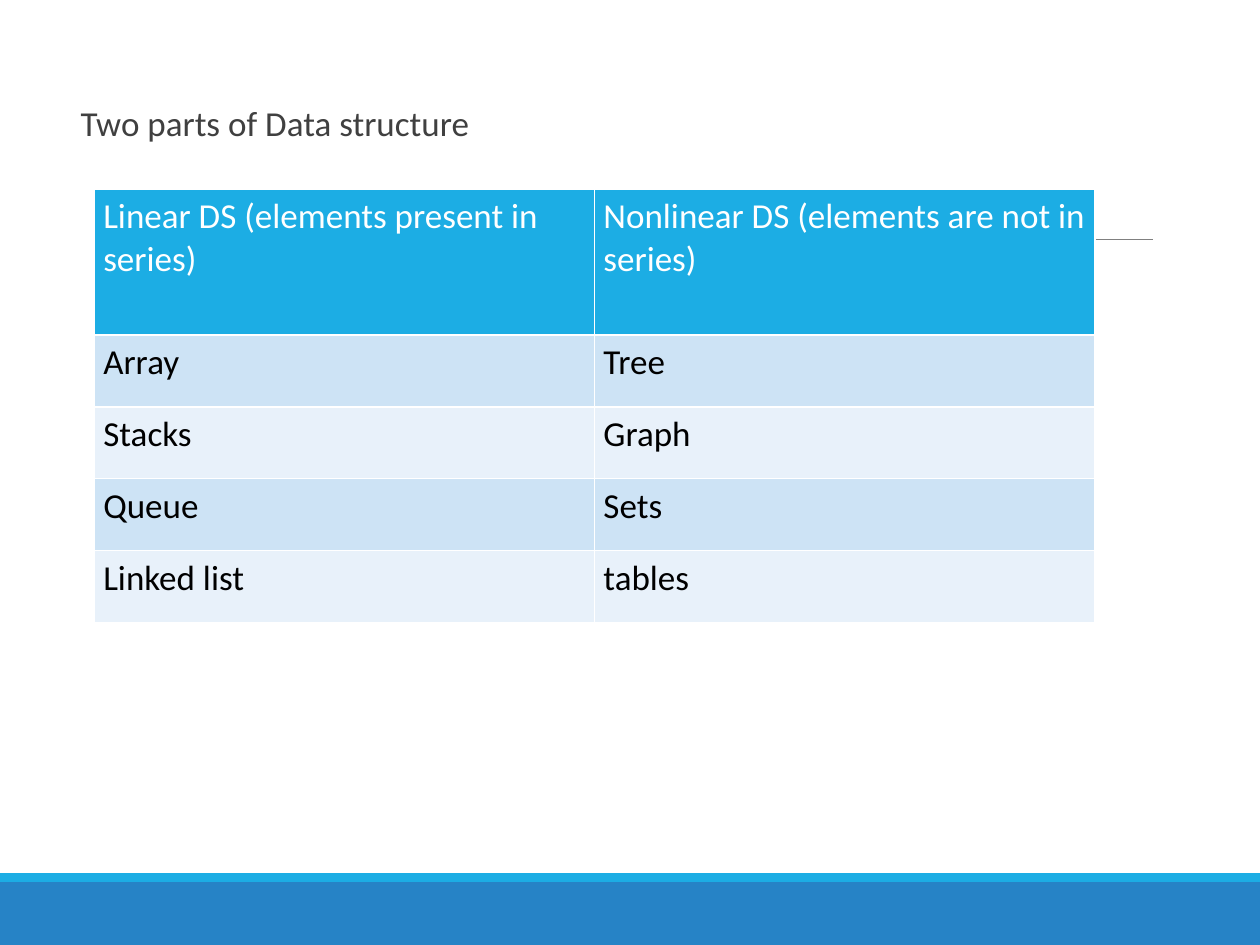
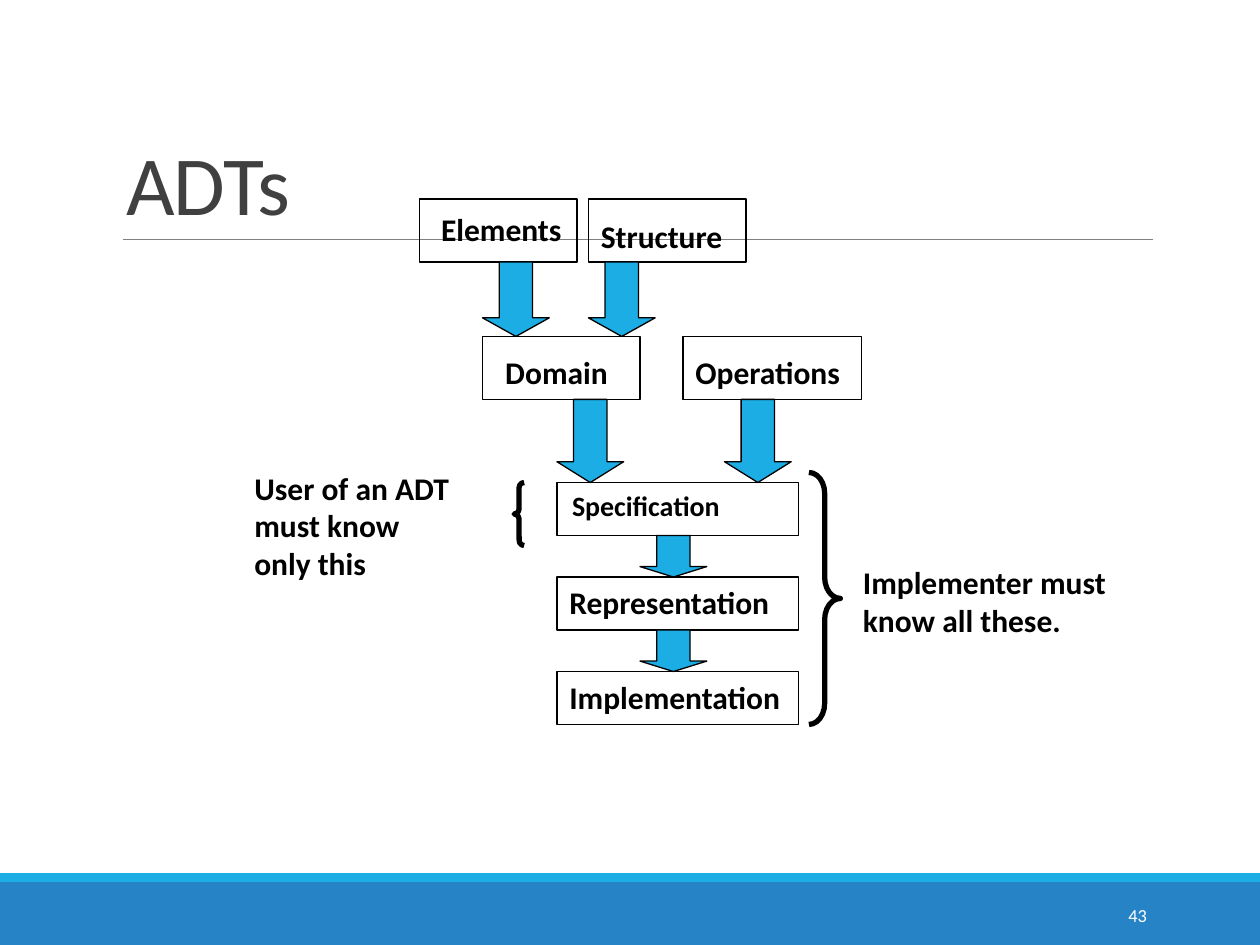
from dataclasses import dataclass

from lxml import etree
from pptx import Presentation
from pptx.dml.color import RGBColor
from pptx.enum.shapes import MSO_CONNECTOR, MSO_SHAPE as Geo
from pptx.enum.text import MSO_ANCHOR as Anchor, MSO_AUTO_SIZE as Fit, PP_ALIGN as Align
from pptx.oxml.ns import qn
from pptx.util import Inches, Pt


@dataclass(frozen=True)
class Theme:
    font: str = "Calibri"
    band: str = "2683C6"
    accent: str = "1CADE4"
    rule: str = "808080"
    heading: str = "404040"
    ink: str = "000000"
    paper: str = "FFFFFF"
    stripes: tuple = ("CDE3F5", "E8F1FA")
    title_size: float = 48
    body_size: float = 20
    label_size: float = 18
    small_label_size: float = 16
    page_size: float = 10.5
    thin: float = 0.75
    thick: float = 3


@dataclass(frozen=True)
class Box:
    left: float
    top: float
    width: float
    height: float

    @property
    def bottom(self):
        return self.top + self.height

    def inner(self, left, top, width, height):
        return Box(self.left + left, self.top + top, width, height)

    def lengths(self):
        return [Inches(v) for v in (self.left, self.top, self.width, self.height)]


THEME = Theme()
PAGE = Box(0, 0, 10, 7.5)


# Shared helpers
def set_all(target, values):
    for key, value in values.items():
        setattr(target, key, value)


def set_insets(target, left=0.1, top=0.05, right=0.1, bottom=0.05):
    sides = {"left": left, "top": top, "right": right, "bottom": bottom}
    set_all(target, {f"margin_{side}": Inches(v) for side, v in sides.items()})


def write(frame, text, size, color, bold=False, paragraph_format=None):
    """Fill a text frame, one paragraph for each line of text."""
    frame.text = text
    for paragraph in frame.paragraphs:
        set_all(paragraph, {"alignment": Align.LEFT, **(paragraph_format or {})})
        for run in paragraph.runs:
            set_all(run.font, {"name": THEME.font, "size": Pt(size), "bold": bold})
            run.font.color.rgb = RGBColor.from_string(color)


def add_figure(slide, geometry, box, fill=None, line=None, width=THEME.thin):
    figure = slide.shapes.add_shape(geometry, *box.lengths())
    figure.shadow.inherit = False
    if fill:
        figure.fill.solid()
        figure.fill.fore_color.rgb = RGBColor.from_string(fill)
    else:
        figure.fill.background()
    if line:
        figure.line.color.rgb = RGBColor.from_string(line)
        figure.line.width = Pt(width)
    else:
        figure.line.fill.background()
    return figure


def add_note(slide, box, text):
    note = slide.shapes.add_textbox(*box.lengths())
    note.text_frame.word_wrap = False
    write(note.text_frame, text, THEME.label_size, THEME.ink, bold=True)


# Bands and rule under the title
def add_frame(slide, page):
    add_figure(slide, Geo.RECTANGLE, page.inner(0, 7, page.width, 0.5), THEME.band)
    add_figure(slide, Geo.RECTANGLE, page.inner(0, 6.93, page.width, 0.07), THEME.accent)
    rule = slide.shapes.add_connector(
        MSO_CONNECTOR.STRAIGHT, *map(Inches, (0.98, 1.9, 9.15, 1.9)))
    rule.line.color.rgb = RGBColor.from_string(THEME.rule)
    rule.line.width = Pt(0.5)
    properties = rule._element.find(qn("p:spPr"))
    etree.SubElement(properties, qn("a:effectLst"))


def add_title(slide, box, text, size, anchor, line_spacing, inset, tracking=0):
    title = slide.shapes.title
    places = zip(("left", "top", "width", "height"), box.lengths())
    set_all(title, dict(places))
    frame = title.text_frame
    set_all(frame, {"word_wrap": True, "auto_size": Fit.NONE, "vertical_anchor": anchor})
    set_insets(frame, left=inset, right=inset)
    write(frame, text, size, THEME.heading, paragraph_format={"line_spacing": line_spacing})
    if tracking:
        for run in frame.paragraphs[0].runs:
            run._r.get_or_add_rPr().set("spc", str(tracking))


def add_page_number(slide, box, number):
    page_number = slide.shapes.add_textbox(*box.lengths())
    set_all(page_number.text_frame, {"word_wrap": True, "vertical_anchor": Anchor.MIDDLE})
    write(page_number.text_frame, number, THEME.page_size, THEME.paper,
          paragraph_format={"alignment": Align.RIGHT})


# Table of the two kinds of data structure
def add_cell_borders(cell):
    properties = cell._tc.get_or_add_tcPr()
    for position, side in enumerate(("lnL", "lnR", "lnT", "lnB")):
        border = etree.Element(qn(f"a:{side}"), w=str(Pt(1)))
        fill = etree.SubElement(border, qn("a:solidFill"))
        etree.SubElement(fill, qn("a:srgbClr"), val=THEME.paper)
        properties.insert(position, border)


def add_structures_table(slide, box, rows, header_height):
    columns = len(rows[0])
    table = slide.shapes.add_table(len(rows), columns, *box.lengths()).table
    set_all(table, {"first_row": False, "horz_banding": False})
    for column in table.columns:
        column.width = Inches(box.width / columns)
    row_height = (box.height - header_height) / (len(rows) - 1)
    for r, texts in enumerate(rows):
        header = r == 0
        table.rows[r].height = Inches(header_height if header else row_height)
        fill = THEME.accent if header else THEME.stripes[(r - 1) % 2]
        for c, text in enumerate(texts):
            cell = table.cell(r, c)
            cell.fill.solid()
            cell.fill.fore_color.rgb = RGBColor.from_string(fill)
            set_insets(cell, left=0.07, right=0.07)
            write(cell.text_frame, text, THEME.body_size,
                  THEME.paper if header else THEME.ink)
            add_cell_borders(cell)


# Diagram of how an ADT is built up
def add_stage(slide, box, text, shift, size):
    """Outlined box whose label is moved right and down by shift."""
    stage = add_figure(slide, Geo.RECTANGLE, box, line=THEME.ink)
    frame = stage.text_frame
    set_all(frame, {"word_wrap": True, "vertical_anchor": Anchor.TOP})
    set_insets(frame, left=0.1 + shift[0], top=0.05 + shift[1], right=0, bottom=0)
    write(frame, text, size, THEME.ink, bold=True)


def add_down_arrow(slide, left, source, target):
    width, height = 0.53, target.top - source.bottom
    arrow = add_figure(slide, Geo.DOWN_ARROW, Box(left, source.bottom, width, height),
                       THEME.accent, THEME.ink)
    # The head takes a quarter of the arrow's height
    arrow.adjustments[1] = 0.25 * height / min(width, height)


def add_brace(slide, geometry, box, curl):
    brace = add_figure(slide, geometry, box, line=THEME.ink, width=THEME.thick)
    brace.adjustments[0] = curl


def add_adt_diagram(slide, box):
    stages = {
        "Elements": (box.inner(1.41, 0, 1.25, 0.5), (0.07, 0.04)),
        "Structure": (box.inner(2.75, 0, 1.25, 0.5), (0, 0.09)),
        "Domain": (box.inner(1.91, 1.09, 1.25, 0.5), (0.08, 0.08)),
        "Operations": (box.inner(3.5, 1.09, 1.42, 0.5), (0, 0.08)),
    }
    for level, name in enumerate(("Specification", "Representation", "Implementation")):
        stages[name] = (box.inner(2.5, 2.25 + 0.75 * level, 1.92, 0.42), (0, 0))
    stages["Specification"] = (stages["Specification"][0], (0.02, 0))

    for name, (place, shift) in stages.items():
        size = THEME.small_label_size if name == "Specification" else THEME.label_size
        add_stage(slide, place, name, shift, size)

    arrows = [
        (1.91, "Elements", "Domain"),
        (2.75, "Structure", "Domain"),
        (2.5, "Domain", "Specification"),
        (3.83, "Operations", "Specification"),
        (3.16, "Specification", "Representation"),
        (3.16, "Representation", "Implementation"),
    ]
    for left, source, target in arrows:
        add_down_arrow(slide, box.left + left, stages[source][0], stages[target][0])

    # Who must know which stages
    add_note(slide, box.inner(0, 2.09, 1.89, 1), "User of an ADT\nmust know\nonly this")
    add_brace(slide, Geo.LEFT_BRACE, box.inner(2.16, 2.25, 0.08, 0.5), 0.5)
    add_note(slide, box.inner(4.83, 2.84, 2.18, 0.7), "Implementer must\nknow all these.")
    add_brace(slide, Geo.RIGHT_BRACE, box.inner(4.5, 2.17, 0.25, 2), 0.667)


# Slides
def build_structures_slide(slide, page):
    add_frame(slide, page)
    add_title(slide, page.inner(0.64, 0.79, 8.83, 0.5), "Two parts of Data structure",
              THEME.body_size, Anchor.TOP, 0.9, inset=0)
    rows = [
        ("Linear DS (elements present in series)", "Nonlinear DS (elements are not in series)"),
        ("Array", "Tree"),
        ("Stacks", "Graph"),
        ("Queue", "Sets"),
        ("Linked list", "tables"),
    ]
    add_structures_table(slide, page.inner(0.75, 1.5, 7.94, 3.44), rows, header_height=1.16)


def build_adts_slide(slide, page):
    add_frame(slide, page)
    add_title(slide, page.inner(0.9, 0.31, 8.25, 1.59), "ADTs",
              THEME.title_size, Anchor.BOTTOM, 0.85, inset=0.1, tracking=-50)
    add_page_number(slide, page.inner(8.12, 7.06, 1.08, 0.4), "43")
    add_adt_diagram(slide, page.inner(1.92, 1.58, 7.01, 4.17))


def main():
    deck = Presentation()
    set_all(deck, {"slide_width": Inches(PAGE.width), "slide_height": Inches(PAGE.height)})
    title_only = deck.slide_layouts[5]
    for build in (build_structures_slide, build_adts_slide):
        build(deck.slides.add_slide(title_only), PAGE)
    deck.save("out.pptx")


if __name__ == "__main__":
    main()
